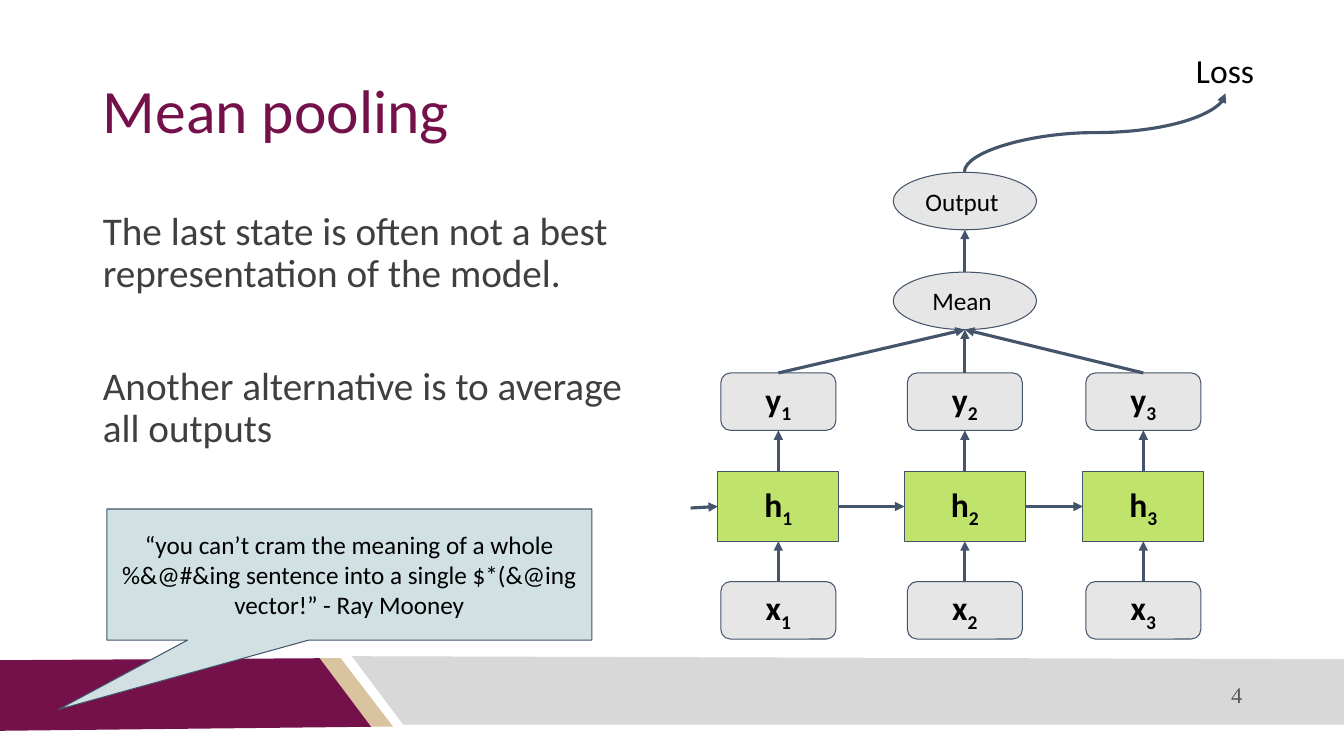
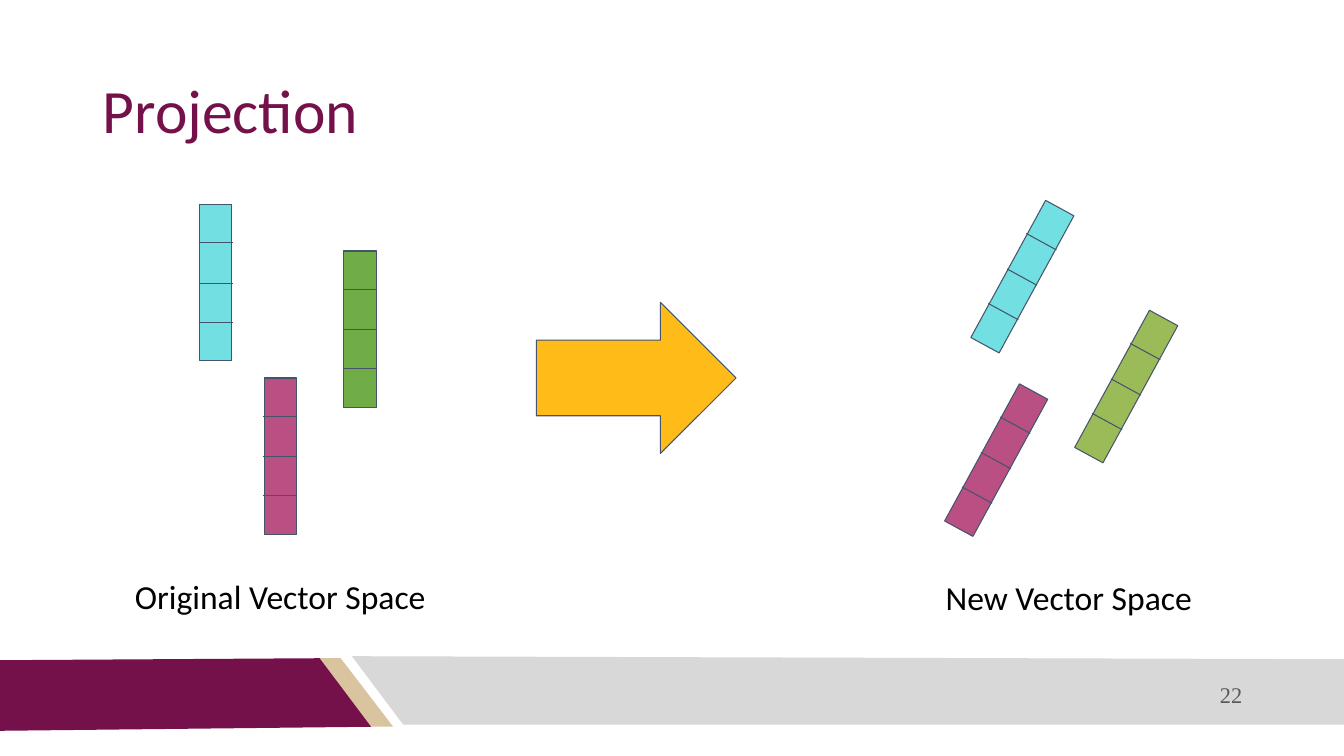
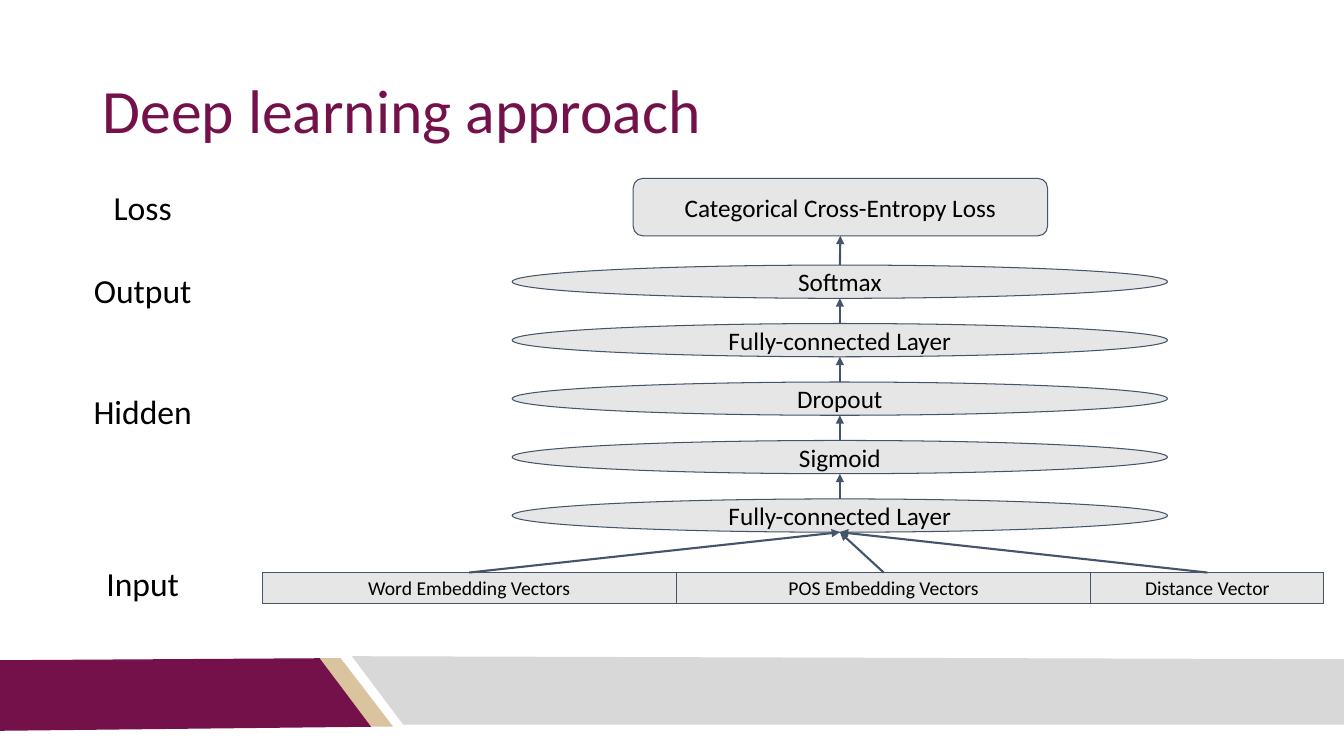
import math

from lxml import etree
from pptx import Presentation
from pptx.dml.color import RGBColor
from pptx.enum import shapes, text
from pptx.oxml import ns
from pptx.util import Inches, Pt

PLUM = RGBColor(0x75, 0x11, 0x4A)
SAND = RGBColor(0xD9, 0xC4, 0x9F)
SILVER = RGBColor(0xD8, 0xD8, 0xD8)
SLATE = RGBColor(0x44, 0x54, 0x6A)
BLACK = RGBColor(0, 0, 0)
BODY_GREY = RGBColor(0x3F, 0x3F, 0x3F)
NUMBER_GREY = RGBColor(0x59, 0x59, 0x59)
BOX_GREY = RGBColor(0xE7, 0xE6, 0xE6)
LIME = RGBColor(0xB0, 0xDD, 0x46)
PALE_BLUE = RGBColor(0xD0, 0xE0, 0xE3)
CYAN = RGBColor(0x72, 0xE0, 0xE2)
GREEN = RGBColor(0x70, 0xAD, 0x47)
OLIVE = RGBColor(0x9B, 0xBB, 0x59)
PINK = RGBColor(0xB9, 0x4F, 0x82)
AMBER = RGBColor(0xFF, 0xBC, 0x19)

BANDS = [
    (SAND, [(3.16, 6.53), (3.38, 6.53), (3.9, 7.21), (3.67, 7.21)]),
    (PLUM, [(0, 6.55), (3.17, 6.53), (3.68, 7.21), (0, 7.25)]),
    (SILVER, [(13.33, 7.19), (4, 7.19), (3.49, 6.51), (13.33, 6.54)]),
]
RECT = shapes.MSO_SHAPE.RECTANGLE
ROUND = shapes.MSO_SHAPE.ROUNDED_RECTANGLE
OVAL = shapes.MSO_SHAPE.OVAL
LEFT, CENTER, RIGHT = text.PP_ALIGN.LEFT, text.PP_ALIGN.CENTER, text.PP_ALIGN.RIGHT
TOP, MIDDLE = text.MSO_ANCHOR.TOP, text.MSO_ANCHOR.MIDDLE


def child(parent, tag, **attrs):
    """Append a DrawingML element to a parent."""
    return etree.SubElement(parent, ns.qn(tag), attrs)


class Deck:
    """Holds the shared style and the slide being drawn."""

    def __init__(self):
        self.prs = Presentation()
        self.prs.slide_width, self.prs.slide_height = Inches(13.33), Inches(7.5)
        self.s = None

    def slide(self, title, layout=5, number=None):
        """Start a slide with its title and optional number."""
        self.s = self.prs.slides.add_slide(self.prs.slide_layouts[layout])
        if len(self.prs.slides) == 1:
            self.bands()
        sp = self.s.shapes.title
        self.place(sp, 0.92, 0.4, 11.5, 1.45)
        self.set_text(sp, title, 44, LEFT, color=PLUM)
        sp.text_frame.paragraphs[0].line_spacing = 0.9
        if number:
            self.label(number, 7.92, 6.69, 4.5, 0.4, 16, RIGHT, color=NUMBER_GREY,
                       font="Times New Roman")

    def bands(self):
        """Put the footer bands on the slide master."""
        tree = self.prs.slide_master.shapes._spTree
        for i, (color, points) in enumerate(BANDS):
            emu = [(Inches(x), Inches(y)) for x, y in points]
            builder = self.s.shapes.build_freeform(*emu[0])
            builder.add_line_segments(emu[1:], close=True)
            sp = builder.convert_to_shape()
            sp.shadow.inherit = False
            sp.fill.solid()
            sp.fill.fore_color.rgb = color
            sp.line.fill.background()
            sp._element.nvSpPr.cNvPr.set("id", str(20 + i))
            tree.insert(2 + i, sp._element)

    def place(self, sp, x, y, w, h):
        """Move and size a shape in inches."""
        sp.left, sp.top, sp.width, sp.height = map(Inches, (x, y, w, h))

    def frame(self, sp, anchor):
        """Give a text frame the shared insets and return it."""
        tf = sp.text_frame
        tf.word_wrap = True
        tf.auto_size = text.MSO_AUTO_SIZE.NONE
        tf.vertical_anchor = anchor
        tf.margin_left = tf.margin_right = tf.margin_top = tf.margin_bottom = Inches(0.1)
        return tf

    def set_text(self, sp, words, size, align=CENTER, anchor=MIDDLE, color=BLACK,
                 font="Calibri", bold=False):
        """Fill a shape with words, or with a symbol and its subscript."""
        p = self.frame(sp, anchor).paragraphs[0]
        base, sub = words if isinstance(words, tuple) else (words, "")
        p.add_run().text = base
        if sub:
            r = p.add_run()
            r.text = sub
            r.font._element.set("baseline", "-25000")
        p.alignment = align
        p.font.size, p.font.name, p.font.bold = Pt(size), font, bold
        p.font.color.rgb = color

    def body(self, lines, x, y, w, h, gap):
        """Fill the body placeholder with unbulleted paragraphs."""
        sp = self.s.placeholders[1]
        self.place(sp, x, y, w, h)
        tf = self.frame(sp, TOP)
        for i, line in enumerate(lines):
            p = tf.add_paragraph() if i else tf.paragraphs[0]
            p.add_run().text = line
            p.line_spacing = 0.9
            p.space_before = Pt(gap if i else 0)
            pPr = p._p.get_or_add_pPr()
            pPr.set("marL", "0")
            pPr.set("indent", "0")
            child(pPr, "a:buNone")
            p.font.size, p.font.name = Pt(28), "Calibri"
            p.font.color.rgb = BODY_GREY

    def label(self, words, x, y, w, h, size=24, align=CENTER, **style):
        """Add a plain text box."""
        sp = self.s.shapes.add_textbox(*map(Inches, (x, y, w, h)))
        self.set_text(sp, words, size, align, **style)

    def shape(self, kind, x, y, w, h, fill=BOX_GREY, words=None, size=18, bold=False,
              alpha=None):
        """Add an outlined preset shape with optional text."""
        sp = self.s.shapes.add_shape(kind, *map(Inches, (x, y, w, h)))
        sp.shadow.inherit = False
        sp.fill.solid()
        sp.fill.fore_color.rgb = fill
        if alpha:
            rgb = sp._element.spPr.find(ns.qn("a:solidFill"))[0]
            child(rgb, "a:alpha", val=str(alpha * 1000))
        sp.line.color.rgb = SLATE
        sp.line.width = Pt(0.75)
        if words:
            self.set_text(sp, words, size, bold=bold)
        return sp

    def line(self, x1, y1, x2, y2, width=0.75, arrow=False,
             kind=shapes.MSO_CONNECTOR.STRAIGHT):
        """Add a connector between two points in inches."""
        c = self.s.shapes.add_connector(kind, *map(Inches, (x1, y1, x2, y2)))
        c.line.color.rgb = SLATE
        c.line.width = Pt(width)
        if arrow:
            child(c.line._get_or_add_ln(), "a:tailEnd", type="triangle")
        child(c._element.spPr, "a:effectLst")
        return c

    def link(self, a, b, width=2.25, sides=(0, 2)):
        """Join the sides of two shapes with an arrow."""
        ends = []
        for sp, side in zip((a, b), sides):
            fx, fy = [(0.5, 0), (0, 0.5), (0.5, 1), (1, 0.5)][side]
            ends += [(sp.left + fx * sp.width) / Inches(1),
                     (sp.top + fy * sp.height) / Inches(1)]
        c = self.line(*ends, width, True)
        for join, sp, side in zip((c.begin_connect, c.end_connect), (a, b), sides):
            if sp.auto_shape_type != OVAL:
                join(sp, side)

    def vector(self, x, y, color, angle=0):
        """Add a four-cell vector turned about its centre."""
        w, h = 0.32, 1.55
        self.shape(RECT, x, y, w, h, color).rotation = angle
        cos, sin = math.cos(math.radians(angle)), math.sin(math.radians(angle))
        cx, cy, half = x + w / 2, y + h / 2, 0.17
        for offset in (0.38, 0.78, 1.17):
            dy = offset - h / 2
            mx, my = cx - dy * sin, cy + dy * cos
            self.line(mx - half * cos, my - half * sin, mx + half * cos, my + half * sin)


def mean_pooling(d):
    """Draw the recurrent network with averaged outputs."""
    d.slide("Mean pooling", 1, "4")
    d.body(["The last state is often not a best representation of the model.",
            "Another alternative is to average all outputs"], 0.92, 2, 5.75, 4.17, 50)
    mean = d.shape(OVAL, 8.86, 2.7, 1.42, 0.57, words="Mean ")
    output = d.shape(OVAL, 8.86, 1.71, 1.42, 0.57, words="Output ")
    d.link(mean, output)
    previous = None
    for n, x in zip("123", (7.12, 8.97, 10.74)):
        hidden = d.shape(RECT, x, 4.68, 1.2, 0.69, LIME, ("h", n), 24, True, 80)
        source, result = [d.shape(ROUND, x + 0.03, y, 1.14, 0.57, words=(name, n),
                                  size=24, bold=True)
                          for name, y in (("x", 5.77), ("y", 3.7))]
        d.link(source, hidden)
        d.link(hidden, result)
        d.link(result, mean)
        if previous:
            d.link(previous, hidden, sides=(3, 1))
        else:
            d.line(6.85, 5.04, 7.12, 5.02, 2.25, True).end_connect(hidden, 1)
        previous = hidden
    d.label("Loss", 11.59, 0.4, 1.12, 0.53, anchor=TOP)
    curve = d.line(10.47, 0.02, 11.25, 2.61, 2.25, True, shapes.MSO_CONNECTOR.CURVE)
    curve._element.spPr.find(ns.qn("a:xfrm")).set("rot", "16200000")
    quote = d.shape(shapes.MSO_SHAPE.ROUNDED_RECTANGULAR_CALLOUT, 1.06, 5.05, 4.81, 1.3,
                    PALE_BLUE, "“you can’t cram the meaning of a whole %&@#&ing sentence "
                    "into a single $*(&@ing vector!” - Ray Mooney")
    for i, value in enumerate((-0.6, 1.03, 0)):
        quote.adjustments[i] = value


def projection(d):
    """Draw vectors before and after a projection."""
    d.slide("Projection", number="22")
    for x, y, color in ((1.98, 2.03, CYAN), (3.41, 2.49, GREEN), (2.62, 3.75, PINK)):
        d.vector(x, y, color)
    d.shape(shapes.MSO_SHAPE.RIGHT_ARROW, 5.32, 3, 1.98, 1.5, AMBER)
    for x, y, color in ((9.98, 1.97, CYAN), (11.01, 3.06, OLIVE), (9.72, 3.79, PINK)):
        d.vector(x, y, color, 28.6)
    d.label("Original Vector Space", 1.03, 5.61, 3.5, 0.8, anchor=TOP)
    d.label("New Vector Space", 8.85, 5.62, 3.5, 0.8, anchor=TOP)


def deep_learning(d):
    """Draw the layer stack from inputs to loss."""
    d.slide("Deep learning approach")
    inputs, x = [], 2.6
    for words, w in (("Word Embedding Vectors", 4.11), ("POS Embedding Vectors", 4.11),
                     ("Distance Vector", 2.31)):
        inputs.append(d.shape(RECT, x, 5.68, w, 0.31, words=words, size=14))
        x += w
    names = ("Fully-connected Layer", "Sigmoid", "Dropout", "Fully-connected Layer",
             "Softmax")
    stack = [d.shape(OVAL, 5.08, 4.95 - 0.58 * i, 6.5, 0.33, words=name)
             for i, name in enumerate(names)]
    stack.append(d.shape(ROUND, 6.28, 1.77, 4.11, 0.57,
                         words="Categorical Cross-Entropy Loss"))
    for box in inputs:
        d.link(box, stack[0], 1.5)
    for lower, upper in zip(stack, stack[1:]):
        d.link(lower, upper, 1.5)
    for words, y in (("Input", 5.5), ("Hidden", 3.79), ("Output", 2.59), ("Loss", 1.77)):
        d.label(words, 0.47, y, 1.89, 0.57)


def main():
    """Build and save the deck."""
    d = Deck()
    mean_pooling(d)
    projection(d)
    deep_learning(d)
    d.prs.save("out.pptx")


if __name__ == "__main__":
    main()
